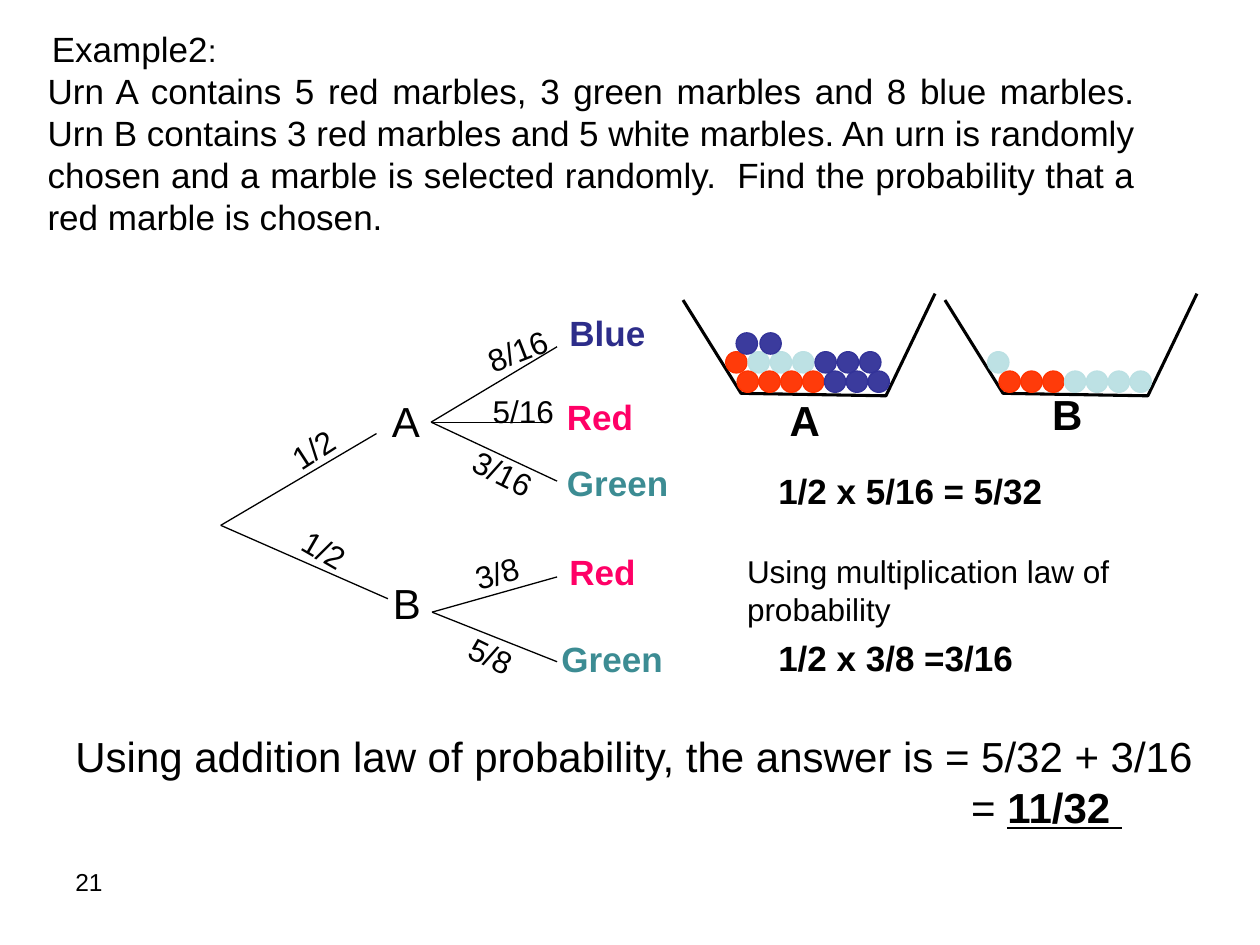
from lxml import etree
from pptx import Presentation
from pptx.dml.color import RGBColor
from pptx.enum import shapes, text
from pptx.oxml import ns
from pptx.util import Cm, Pt

BLACK, RED, GREEN, BLUE = "000000", "FF0066", "3C8C93", "2D2D8A"
MARBLES = {"r": "FF3300", "g": "BBE0E3", "b": "333399"}
MARBLE_SIZE = 0.43

QUESTION = (
    "Urn A contains 5 red marbles, 3 green marbles and 8 blue marbles. "
    "Urn B contains 3 red marbles and 5 white marbles. An urn is randomly chosen "
    "and a marble is selected randomly.  Find the probability that a red marble is chosen."
)

# All positions and lengths are in centimetres.
# Start of each fork, then the ends of its branches
FORKS = [
    ((4.45, 10.59), [(7.59, 8.74), (7.82, 12.07)]),
    ((8.69, 8.51), [(11.23, 6.99), (11, 8.51), (11.23, 9.7)]),
    ((8.71, 12.34), [(11.23, 11.63), (11.23, 13.34)]),
]
# wording, left, top
URN_NODES = [("A", 7.65, 7.85), ("B", 7.67, 11.51)]
URN_NAMES = [("A", 15.67, 7.82), ("B", 20.96, 7.7)]
# wording, colour, left, top, height, line spacing
OUTCOMES = [
    ("Blue", BLUE, 11.23, 6.15, 1.12, 1.0),
    ("Red", RED, 11.18, 8.15, 0.76, 0.6),
    ("Green", GREEN, 11.18, 9.42, 0.86, 0.7),
    ("Red", RED, 11.23, 11.28, 0.76, 0.6),
    ("Green", GREEN, 11.07, 12.95, 0.86, 0.7),
]
# wording, left, top, width, rotation
CHANCES = [
    ("1/2", 5.54, 8.28, 2.34, -32.9),
    ("1/2", 5.82, 10.67, 1.75, 30.1),
    ("8/16", 9.55, 6.48, 2.16, -21.2),
    ("5/16", 9.68, 7.77, 2.39, 0),
    ("3/16", 9.25, 9.12, 2.11, 26.6),
    ("3/8", 9.32, 11, 1.7, -15.6),
    ("5/8", 9.19, 12.78, 1.7, 26.2),
]
PRODUCTS = [("1/2 x 5/16 = 5/32", 9.35), ("1/2 x 3/8 =3/16", 12.7)]

URN_OUTLINE = [(0, 0.13), (1.17, 2.01), (4.09, 2.06), (5.08, 0)]
URN_TOP = 5.92
# Left and top of each marble row inside an urn, and the step between marbles
ROWS = [(0.86, 1.17, 0.45), (1.07, 0.79, 0.48), (1.09, 1.56, 0.44)]
# Left of each urn and the marbles in its rows
URNS = [(13.77, ["rgggbbb", "bb", "rrrrbbb"]), (19.05, ["g", "", "rrrgggg"])]


def rgb(colour):
    return RGBColor.from_string(colour)


def format_runs(paragraph, size, colour=BLACK, bold=False):
    for run in paragraph.runs:
        font = run.font
        font.name, font.size, font.bold = "Arial", Pt(size), bold
        font.color.rgb = rgb(colour)


def add_label(slide, wording, left, top, width, height, size, colour=BLACK, bold=False):
    label = slide.shapes.add_textbox(Cm(left), Cm(top), Cm(width), Cm(height))
    frame = label.text_frame
    frame.word_wrap = True
    frame.text = wording
    for paragraph in frame.paragraphs:
        format_runs(paragraph, size, colour, bold)
    return label


def add_title(slide):
    title = slide.shapes.title
    title.left, title.top, title.width, title.height = Cm(0.79), Cm(0.43), Cm(4.88), Cm(1.12)
    frame = title.text_frame
    frame.auto_size = text.MSO_AUTO_SIZE.NONE
    frame.vertical_anchor = text.MSO_ANCHOR.TOP
    heading = frame.paragraphs[0]
    heading.alignment = text.PP_ALIGN.LEFT
    for part in ("Example2", ":"):
        heading.add_run().text = part
    format_runs(heading, 20)
    heading.runs[1].font.size = Pt(18)


def add_branch(slide, start, end):
    branch = slide.shapes.add_connector(
        shapes.MSO_CONNECTOR.STRAIGHT, *(Cm(v) for v in (*start, *end)))
    branch.line.color.rgb = rgb(BLACK)
    branch.line.width = Pt(0.75)
    etree.SubElement(branch._element.spPr, ns.qn("a:effectLst"))


def add_marble(slide, left, top, colour):
    marble = slide.shapes.add_shape(
        shapes.MSO_SHAPE.OVAL, Cm(left), Cm(top), Cm(MARBLE_SIZE), Cm(MARBLE_SIZE))
    marble.shadow.inherit = False
    marble.fill.solid()
    marble.fill.fore_color.rgb = rgb(colour)
    tint = marble._element.spPr.find(ns.qn("a:solidFill"))[0]
    etree.SubElement(tint, ns.qn("a:alpha"), val="96000")
    marble.line.color.rgb = rgb(colour)
    marble.line.width = Pt(0.75)


def add_urn(slide, left, contents):
    corners = [(Cm(left + x), Cm(URN_TOP + y)) for x, y in URN_OUTLINE]
    builder = slide.shapes.build_freeform(*corners[0])
    builder.add_line_segments(corners[1:], close=False)
    urn = builder.convert_to_shape()
    urn.shadow.inherit = False
    urn.fill.background()
    urn.line.color.rgb = rgb(BLACK)
    urn.line.width = Pt(1.75)
    for (row_left, row_top, step), marbles in zip(ROWS, contents):
        for i, kind in enumerate(marbles):
            add_marble(slide, left + row_left + i * step, URN_TOP + row_top, MARBLES[kind])


def add_answer(slide):
    answer = add_label(
        slide, "Using addition law of probability, the answer is = 5/32 + 3/16",
        1.27, 14.61, 23.06, 2.3, 24)
    result = answer.text_frame.add_paragraph()
    result._p.get_or_add_pPr().set("marL", str(Cm(18.06)))
    for part in ("= ", "11/32 "):
        result.add_run().text = part
    format_runs(result, 24)
    result.runs[1].font.bold = result.runs[1].font.underline = True


def main():
    deck = Presentation()
    deck.slide_width, deck.slide_height = Cm(25.4), Cm(19.05)
    slide = deck.slides.add_slide(deck.slide_layouts[5])

    add_title(slide)
    question = add_label(slide, QUESTION, 0.71, 1.27, 22.43, 3.66, 20)
    question.text_frame.paragraphs[0].alignment = text.PP_ALIGN.JUSTIFY

    for start, ends in FORKS:
        for end in ends:
            add_branch(slide, start, end)
    for name, left, top in URN_NODES:
        add_label(slide, name, left, top, 1.91, 1.27, 24)
    for chance, left, top, width, rotation in CHANCES:
        add_label(slide, chance, left, top, width, 1.02, 18).rotation = rotation
    for outcome, colour, left, top, height, spacing in OUTCOMES:
        label = add_label(slide, outcome, left, top, 2.97, height, 20, colour, True)
        label.text_frame.paragraphs[0].line_spacing = spacing

    for left, contents in URNS:
        add_urn(slide, left, contents)
    for name, left, top in URN_NAMES:
        add_label(slide, name, left, top, 1.27, 1.27, 24, bold=True)

    for product, top in PRODUCTS:
        add_label(slide, product, 15.44, top, 8.46, 1.12, 20, bold=True)
    add_label(slide, "Using multiplication law of probability", 14.81, 11, 10.59, 1.78, 18)
    add_answer(slide)
    add_label(slide, "21", 1.27, 17.35, 5.92, 1.32, 14)
    deck.save("out.pptx")


if __name__ == "__main__":
    main()
